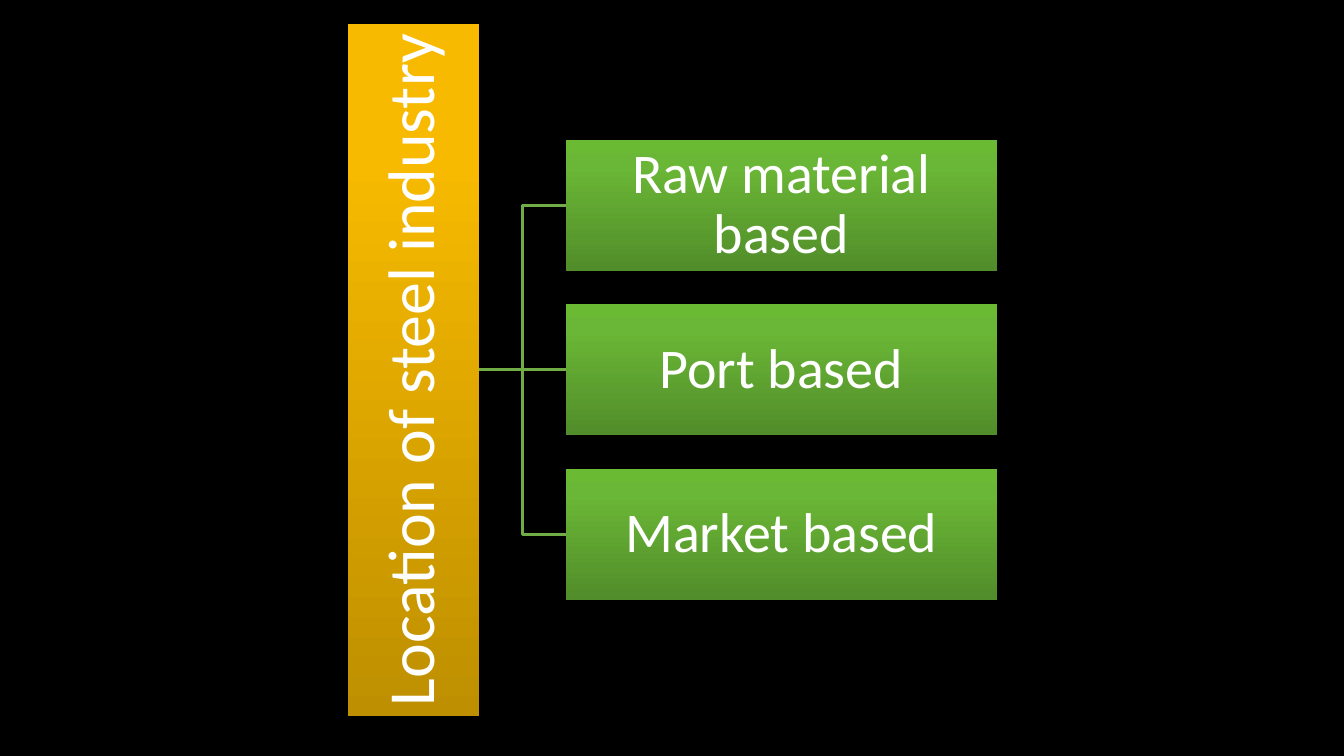
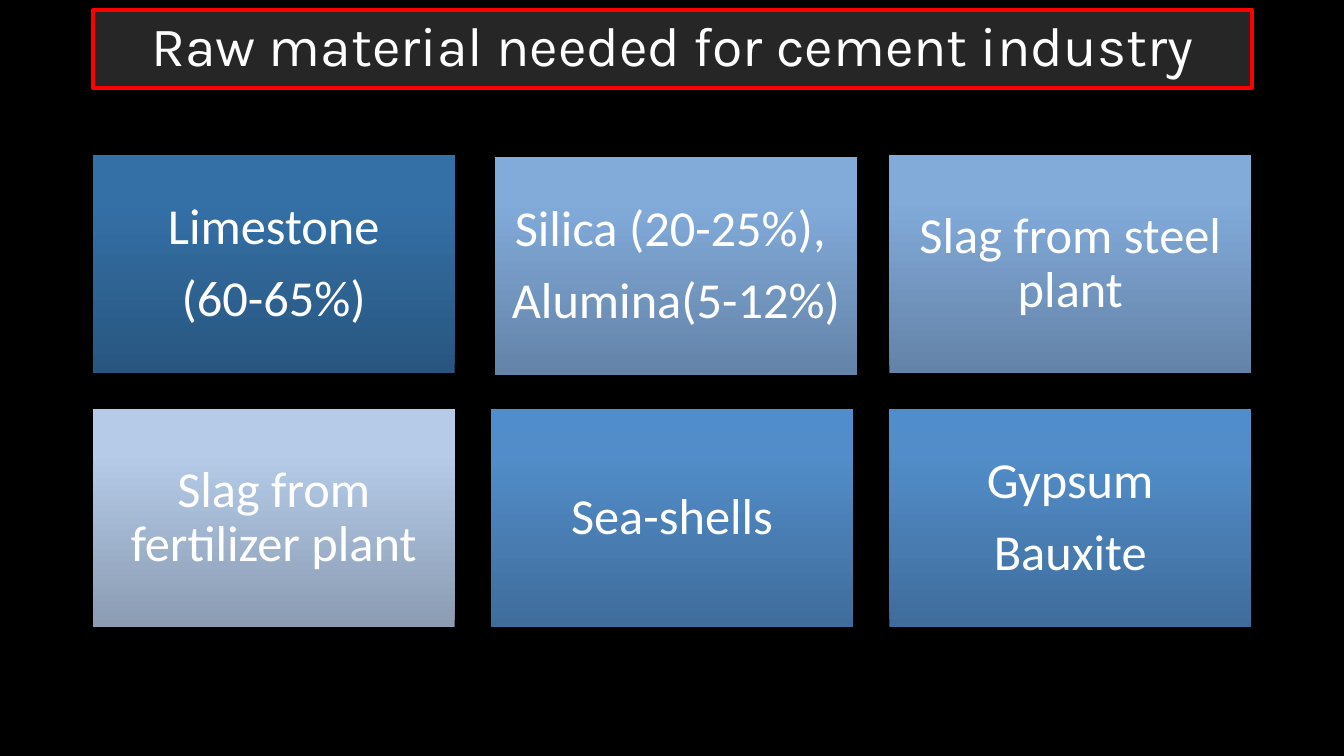
import copy

import pptx
import pptx.dml.color
import pptx.enum.shapes
import pptx.enum.text
import pptx.oxml
import pptx.oxml.ns
import pptx.util

Inches = pptx.util.Inches
Pt = pptx.util.Pt
MIDDLE = pptx.enum.text.MSO_ANCHOR.MIDDLE
CENTER = pptx.enum.text.PP_ALIGN.CENTER

# Content
ROOT = "Location of steel industry"
BRANCHES = ["Raw material based", "Port based", "Market based"]
CEMENT_TITLE = "Raw material needed for cement industry"
# Rows of cards: paragraphs, gradient, nudge off the grid
MATERIALS = [
    [(["Limestone", "(60-65%)"], "navy", (0, 0)),
     (["Silica (20-25%), ", "Alumina(5-12%)"], "sky", (0.04, 0.02)),
     (["Slag from steel plant"], "sky", (0, 0))],
    [(["Slag from fertilizer plant"], "pale", (0, 0)),
     (["Sea-shells"], "blue", (0, 0)),
     (["Gypsum", "Bauxite"], "blue", (0, 0))],
]

# Shared style
COLORS = {"background": "000000", "text": "FFFFFF", "branch": "70AD47",
          "title_fill": "262626", "title_line": "FF0000"}
GRADIENTS = {  # colours from bottom to top
    "gold": ("BE8F00", "F7BA00", "F8BB00"),
    "green": ("518D2A", "6AB636", "6ABA34"),
    "navy": ("285680", "3470A6", "3270A9"),
    "sky": ("6483A8", "82ABDA", "81ABDC"),
    "pale": ("8B9CB3", "B5CBE8", "B4CCEA"),
    "blue": ("3F6C9B", "528DC9", "508DCC"),
}
STOP_POSITIONS = (0, 0.8, 1)


def rgb(name):
    return pptx.dml.color.RGBColor.from_string(COLORS.get(name, name))


def format_text(text_frame, font_name, size, space_after=0):
    text_frame.word_wrap = True
    text_frame.auto_size = pptx.enum.text.MSO_AUTO_SIZE.NONE
    text_frame.vertical_anchor = MIDDLE
    for paragraph in text_frame.paragraphs:
        paragraph.alignment = CENTER
        paragraph.line_spacing = 0.9
        paragraph.space_after = Pt(space_after)
        for run in paragraph.runs:
            run.font.name = font_name
            run.font.size = Pt(size)
            run.font.color.rgb = rgb("text")


def fill_gradient(shape, gradient):
    shape.fill.gradient()
    shape.fill.gradient_angle = 90
    grad_fill = shape.element.spPr.find(pptx.oxml.ns.qn("a:gradFill"))
    grad_fill.set("rotWithShape", "0")
    stop_list = grad_fill.find(pptx.oxml.ns.qn("a:gsLst"))
    stop_list.append(copy.deepcopy(stop_list[-1]))
    for stop, position, color in zip(shape.fill.gradient_stops, STOP_POSITIONS,
                                     GRADIENTS[gradient]):
        stop.position = position
        stop.color.rgb = rgb(color)


def add_card(slide, box, paragraphs, gradient, size, inset, rotation=0):
    shape = slide.shapes.add_shape(pptx.enum.shapes.MSO_SHAPE.RECTANGLE,
                                   *[Inches(value) for value in box])
    shape.rotation = rotation
    shape.shadow.inherit = False
    shape.line.fill.background()
    fill_gradient(shape, gradient)
    text_frame = shape.text_frame
    text_frame.text = "\n".join(paragraphs)
    text_frame.margin_left = text_frame.margin_right = Inches(inset)
    text_frame.margin_top = text_frame.margin_bottom = Inches(inset)
    format_text(text_frame, "Calibri", size, space_after=0.35 * size)


def add_branch(slide, kind, start, end):
    connector = slide.shapes.add_connector(
        kind, *[Inches(value) for value in (*start, *end)])
    connector.line.color.rgb = rgb("branch")
    connector.line.width = Pt(2)
    connector.element.spPr.append(pptx.oxml.parse_xml(
        f"<a:effectLst {pptx.oxml.ns.nsdecls('a')}/>"))


def build_steel_slide(presentation):
    slide = presentation.slides.add_slide(presentation.slide_layouts[6])
    thickness, root_length, root_right = 1.3, 6.86, 4.75
    card_left, card_width, pitch, center_y = 5.61, 4.28, 1.63, 3.67
    centers = [center_y + (index - 1) * pitch for index in range(len(BRANCHES))]

    # Branch lines behind the cards
    kinds = pptx.enum.shapes.MSO_CONNECTOR
    for y in centers:
        kind = kinds.STRAIGHT if y == center_y else kinds.ELBOW
        add_branch(slide, kind, (root_right, center_y), (card_left, y))

    # Root bar, turned to read upwards
    root_left = root_right - thickness / 2 - root_length / 2
    add_card(slide, (root_left, center_y - thickness / 2, root_length, thickness),
             [ROOT], "gold", 47, 0.03, rotation=270)
    for text, y in zip(BRANCHES, centers):
        add_card(slide, (card_left, y - thickness / 2, card_width, thickness),
                 [text], "green", 40, 0.03)


def build_cement_slide(presentation):
    slide = presentation.slides.add_slide(presentation.slide_layouts[5])

    # Title in a framed box
    title = slide.shapes.title
    title.left, title.top = Inches(0.92), Inches(0.1)
    title.width, title.height = Inches(11.5), Inches(0.77)
    title.element.spPr.append(pptx.oxml.parse_xml(
        f"<a:prstGeom {pptx.oxml.ns.nsdecls('a')} prst='roundRect'><a:avLst/></a:prstGeom>"))
    title.fill.solid()
    title.fill.fore_color.rgb = rgb("title_fill")
    title.line.color.rgb = rgb("title_line")
    title.line.width = Pt(3)
    title.text_frame.text = CEMENT_TITLE
    format_text(title.text_frame, "Karla", 39.6)

    # Grid of materials
    left, top, width, height = 0.92, 1.54, 3.59, 2.16
    pitch_x, pitch_y = 3.95, 2.52
    for row, cards in enumerate(MATERIALS):
        for column, (paragraphs, gradient, (shift_x, shift_y)) in enumerate(cards):
            box = (left + column * pitch_x + shift_x,
                   top + row * pitch_y + shift_y, width, height)
            add_card(slide, box, paragraphs, gradient, 36, 0.15)


def main():
    presentation = pptx.Presentation()
    presentation.slide_width = Inches(13.33)
    presentation.slide_height = Inches(7.5)
    background = presentation.slide_master.background.fill
    background.solid()
    background.fore_color.rgb = rgb("background")
    build_steel_slide(presentation)
    build_cement_slide(presentation)
    presentation.save("out.pptx")


if __name__ == "__main__":
    main()
